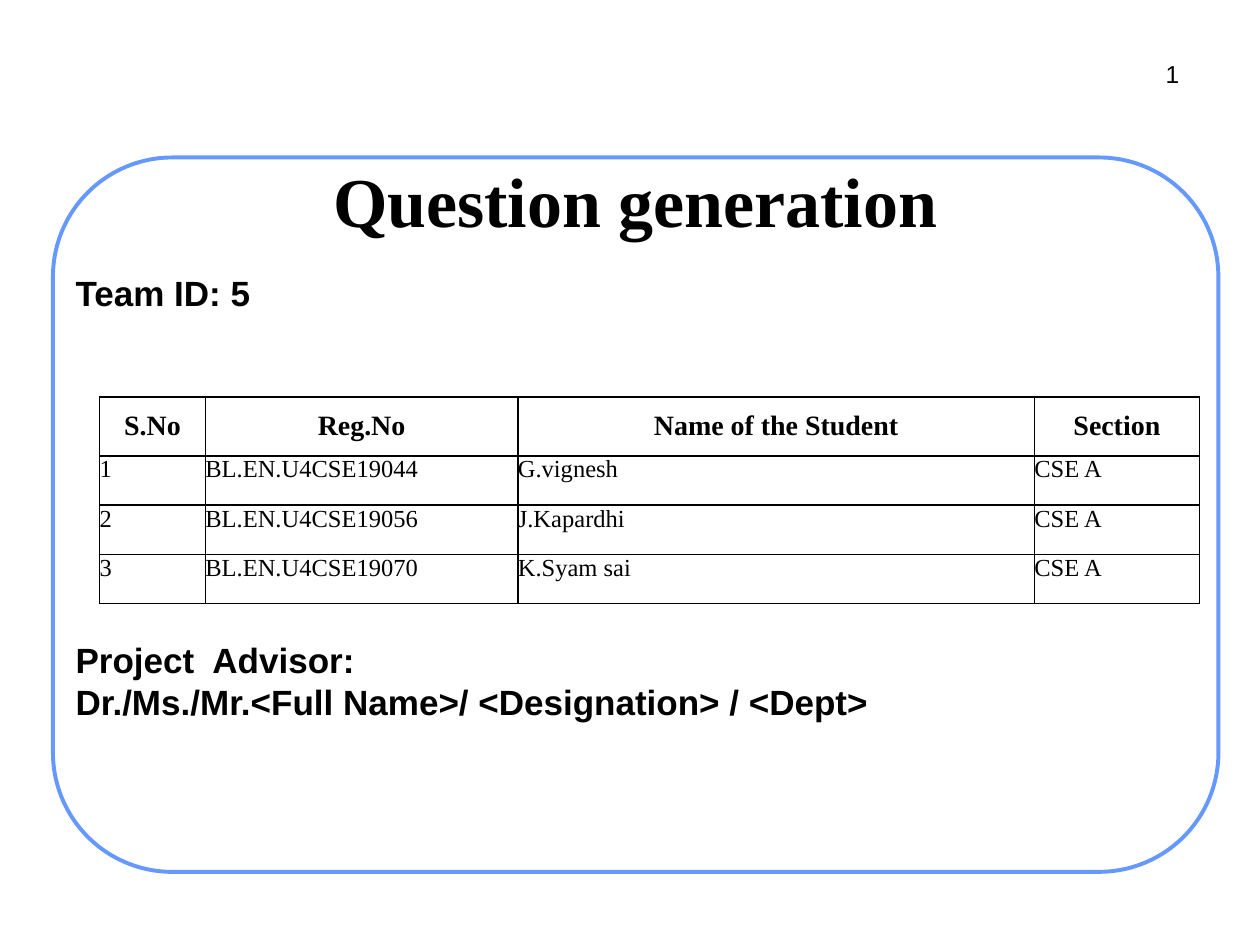
import pptx
import pptx.dml.color
import pptx.enum.shapes
import pptx.enum.text
import pptx.oxml
import pptx.oxml.ns
import pptx.util
from dataclasses import dataclass
from pptx.util import Inches


@dataclass(frozen=True)
class Theme:
    ink: str = "000000"
    paper: str = "FFFFFF"
    frame: str = "6699FF"
    sans: str = "Arial"
    serif: str = "Times New Roman"
    title: int = 40
    body: int = 20
    header: int = 16
    small: int = 14


theme = Theme()
rgb = pptx.dml.color.RGBColor.from_string
Align = pptx.enum.text.PP_ALIGN
Anchor = pptx.enum.text.MSO_ANCHOR


def write(paragraph, text, face, size, bold=False, align=Align.LEFT):
    paragraph.alignment = align
    run = paragraph.add_run()
    run.text = text
    run.font.name = face
    run.font.size = pptx.util.Pt(size)
    run.font.bold = bold
    run.font.color.rgb = rgb(theme.ink)


def add_text_frame(left, top, width, height, wrap=True):
    """Add a text box with small equal insets and return its text frame."""
    frame = slide.shapes.add_textbox(
        Inches(left), Inches(top), Inches(width), Inches(height)).text_frame
    frame.word_wrap = wrap
    frame.margin_left = frame.margin_right = Inches(0.05)
    frame.margin_top = frame.margin_bottom = Inches(0.05)
    return frame


deck = pptx.Presentation()
deck.slide_width, deck.slide_height = Inches(10), Inches(7.5)
slide = deck.slides.add_slide(deck.slide_layouts[6])

# Rounded frame around the content
border = slide.shapes.add_shape(
    pptx.enum.shapes.MSO_SHAPE.ROUNDED_RECTANGLE,
    Inches(0.42), Inches(1.25), Inches(9.25), Inches(5.67))
border.adjustments[0] = 0.167
border.shadow.inherit = False
border.fill.solid()
border.fill.fore_color.rgb = rgb(theme.paper)
border.line.color.rgb = rgb(theme.frame)
border.line.width = pptx.util.Pt(2.25)

# Page number and title
page_number = add_text_frame(9.19, 0.42, 0.22, 0.32, wrap=False)
write(page_number.paragraphs[0], "1", theme.sans, theme.small, align=Align.RIGHT)

title = add_text_frame(0.83, 1.08, 8.42, 1)
title.vertical_anchor = Anchor.MIDDLE
write(title.paragraphs[0], "Question generation", theme.serif, theme.title,
      bold=True, align=Align.CENTER)

# Team and advisor lines, with room for the table between them
details = add_text_frame(0.55, 2.17, 8.76, 3.88)
detail_lines = [
    ("Team ID: 5", 4.8),
    ("Project  Advisor:", 190.4),
    ("Dr./Ms./Mr.<Full Name>/ <Designation> / <Dept>", 4.8),
]
for index, (line, space_before) in enumerate(detail_lines):
    paragraph = details.add_paragraph() if index else details.paragraphs[0]
    paragraph.line_spacing = 0.8
    paragraph.space_before = pptx.util.Pt(space_before)
    write(paragraph, line, theme.sans, theme.body, bold=True)

# Student table
students = [
    ("S.No", "Reg.No", "Name of the Student", "Section"),
    ("1", "BL.EN.U4CSE19044", "G.vignesh", "CSE A"),
    ("2", "BL.EN.U4CSE19056", "J.Kapardhi", "CSE A"),
    ("3", "BL.EN.U4CSE19070", "K.Syam sai", "CSE A"),
]
column_widths = [0.84, 2.48, 4.1, 1.31]
row_heights = [0.47] + [0.39] * 3
roster = slide.shapes.add_table(
    len(row_heights), len(column_widths), Inches(0.79), Inches(3.15),
    Inches(sum(column_widths)), Inches(sum(row_heights))).table
roster.first_row = roster.horz_banding = False
for column, width in zip(roster.columns, column_widths):
    column.width = Inches(width)

for r, student in enumerate(students):
    roster.rows[r].height = Inches(row_heights[r])
    is_header = r == 0
    for c, value in enumerate(student):
        cell = roster.cell(r, c)
        cell.margin_left = cell.margin_right = 0
        cell.margin_top = cell.margin_bottom = 0
        cell.vertical_anchor = Anchor.MIDDLE if is_header else Anchor.TOP
        cell.fill.background()
        write(cell.text_frame.paragraphs[0], value, theme.serif,
              theme.header if is_header else theme.small, bold=is_header,
              align=Align.CENTER if is_header else Align.LEFT)
        properties = cell._tc.get_or_add_tcPr()
        for position, side in enumerate("LRTB"):
            properties.insert(position, pptx.oxml.parse_xml(
                f'<a:ln{side} {pptx.oxml.ns.nsdecls("a")} w="12700"><a:solidFill>'
                f'<a:srgbClr val="{theme.ink}"/></a:solidFill></a:ln{side}>'))

deck.save("out.pptx")
